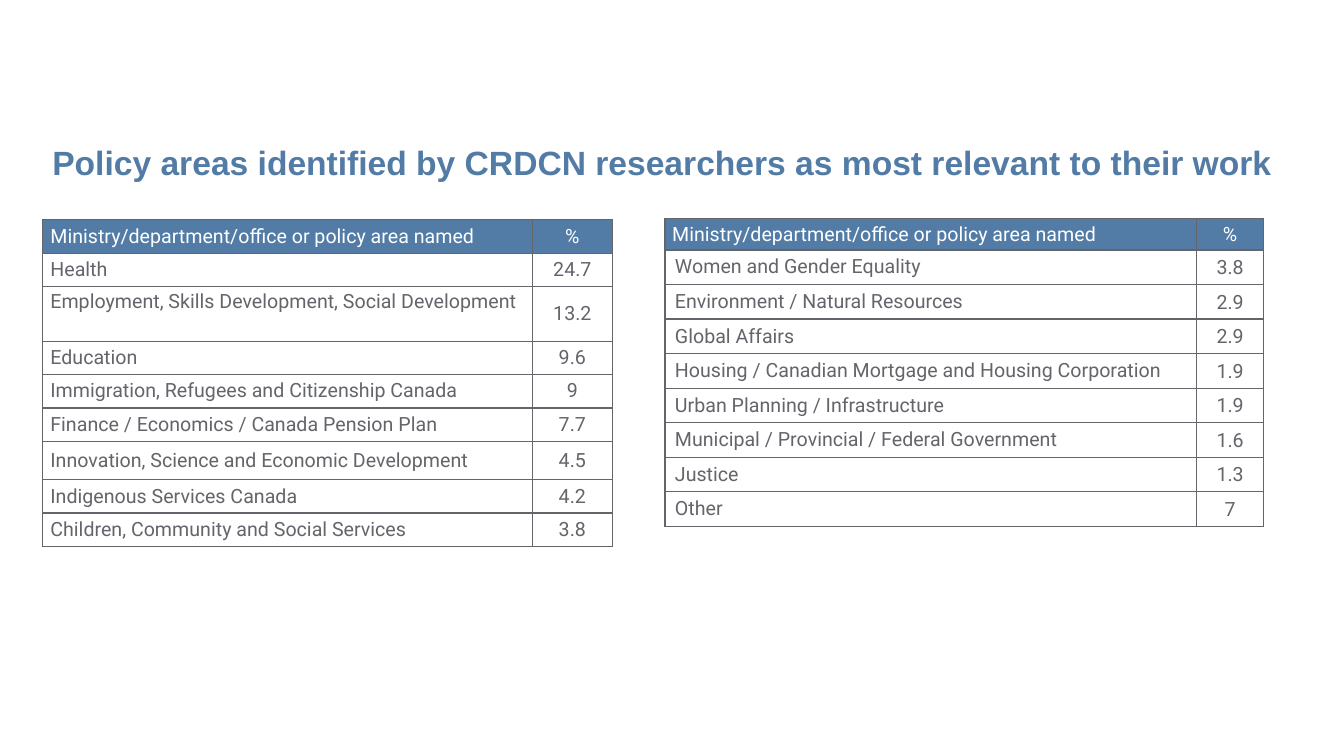
from dataclasses import dataclass

from lxml import etree
from pptx import Presentation
from pptx.dml.color import RGBColor
from pptx.enum.text import MSO_ANCHOR, PP_ALIGN
from pptx.oxml.ns import qn
from pptx.util import Cm, Pt

LEFT, CENTER = PP_ALIGN.LEFT, PP_ALIGN.CENTER
TOP, MIDDLE = MSO_ANCHOR.TOP, MSO_ANCHOR.MIDDLE


@dataclass(frozen=True)
class Theme:
    blue: str = "527CA6"
    gray: str = "63656A"
    white: str = "FFFFFF"
    title_font: str = "Arial"
    table_font: str = "Roboto"
    title_size: int = 24
    table_size: int = 14
    border: int = 1


theme = Theme()


def write_text(frame, text, *, font=theme.table_font, size=theme.table_size,
               color=theme.gray, bold=False, align=LEFT, spacing=None, after=None):
    para = frame.paragraphs[0]
    para.alignment = align
    if spacing:
        para.line_spacing = spacing
    if after:
        para.space_after = Pt(after)
    span = para.add_run()
    span.text = text
    span.font.name = font
    span.font.size = Pt(size)
    span.font.bold = bold
    span.font.color.rgb = RGBColor.from_string(color)


def draw_borders(cell):
    properties = cell._tc.get_or_add_tcPr()
    for side in ("a:lnL", "a:lnR", "a:lnT", "a:lnB"):
        line = etree.SubElement(properties, qn(side), w=str(Pt(theme.border)))
        fill = etree.SubElement(line, qn("a:solidFill"))
        etree.SubElement(fill, qn("a:srgbClr"), val=theme.gray)


# Content: the header row is shared by both tables
header = ("Ministry/department/office or policy area named", "%")
long_label = "Employment, Skills Development, Social Development"
left_rows = [
    ("Health", "24.7"),
    (long_label, "13.2"),
    ("Education", "9.6"),
    ("Immigration, Refugees and Citizenship Canada", "9"),
    ("Finance / Economics / Canada Pension Plan", "7.7"),
    ("Innovation, Science and Economic Development", "4.5"),
    ("Indigenous Services Canada", "4.2"),
    ("Children, Community and Social Services", "3.8"),
]
right_rows = [
    ("Women and Gender Equality", "3.8"),
    ("Environment / Natural Resources", "2.9"),
    ("Global Affairs", "2.9"),
    ("Housing / Canadian Mortgage and Housing Corporation", "1.9"),
    ("Urban Planning / Infrastructure", "1.9"),
    ("Municipal / Provincial / Federal Government", "1.6"),
    ("Justice", "1.3"),
    ("Other", "7"),
]

# Places in cm; a margin is (side, top and bottom)
tables = [
    dict(rows=left_rows, left=1.07, top=5.54, widths=(12.34, 2.03),
         heights=[0.84, 0.84, 1.38, 0.84, 0.84, 0.84, 0.97, 0.84, 0.84],
         margin=(0.2, 0.1), label_margin=(0.2, 0.1), spacing=None),
    dict(rows=right_rows, left=16.76, top=5.51, widths=(13.39, 1.7),
         heights=[0.79] + [0.87] * 8,
         margin=(0.18, 0), label_margin=(0.25, 0.13), spacing=1.07),
]

deck = Presentation()
deck.slide_width, deck.slide_height = Cm(33.87), Cm(19.05)
page = deck.slides.add_slide(deck.slide_layouts[6])

# Title
box = page.shapes.add_textbox(Cm(1.07), Cm(3.45), Cm(32.8), Cm(2.18))
box.text_frame.word_wrap = True
write_text(box.text_frame,
           "Policy areas identified by CRDCN researchers as most relevant to their work",
           font=theme.title_font, size=theme.title_size, color=theme.blue,
           bold=True, after=6)

# Tables
for layout in tables:
    rows = [header] + layout["rows"]
    widths, heights = layout["widths"], layout["heights"]
    table = page.shapes.add_table(
        len(rows), len(widths), Cm(layout["left"]), Cm(layout["top"]),
        Cm(sum(widths)), Cm(sum(heights))).table
    table.horz_banding = False
    for column, width in zip(table.columns, widths):
        column.width = Cm(width)
    for row, height in zip(table.rows, heights):
        row.height = Cm(height)

    for row_index, values in enumerate(rows):
        is_header = row_index == 0
        for column_index, value in enumerate(values):
            is_label = column_index == 0 and not is_header
            cell = table.cell(row_index, column_index)
            side, edge = layout["label_margin" if is_label else "margin"]
            cell.margin_left = cell.margin_right = Cm(side)
            cell.margin_top = cell.margin_bottom = Cm(edge)
            cell.vertical_anchor = TOP if value == long_label else MIDDLE
            draw_borders(cell)
            if is_header:
                cell.fill.solid()
                cell.fill.fore_color.rgb = RGBColor.from_string(theme.blue)
            else:
                cell.fill.background()
            write_text(cell.text_frame, value,
                       color=theme.white if is_header else theme.gray,
                       align=CENTER if column_index else LEFT,
                       spacing=None if is_label else layout["spacing"])

deck.save("out.pptx")
